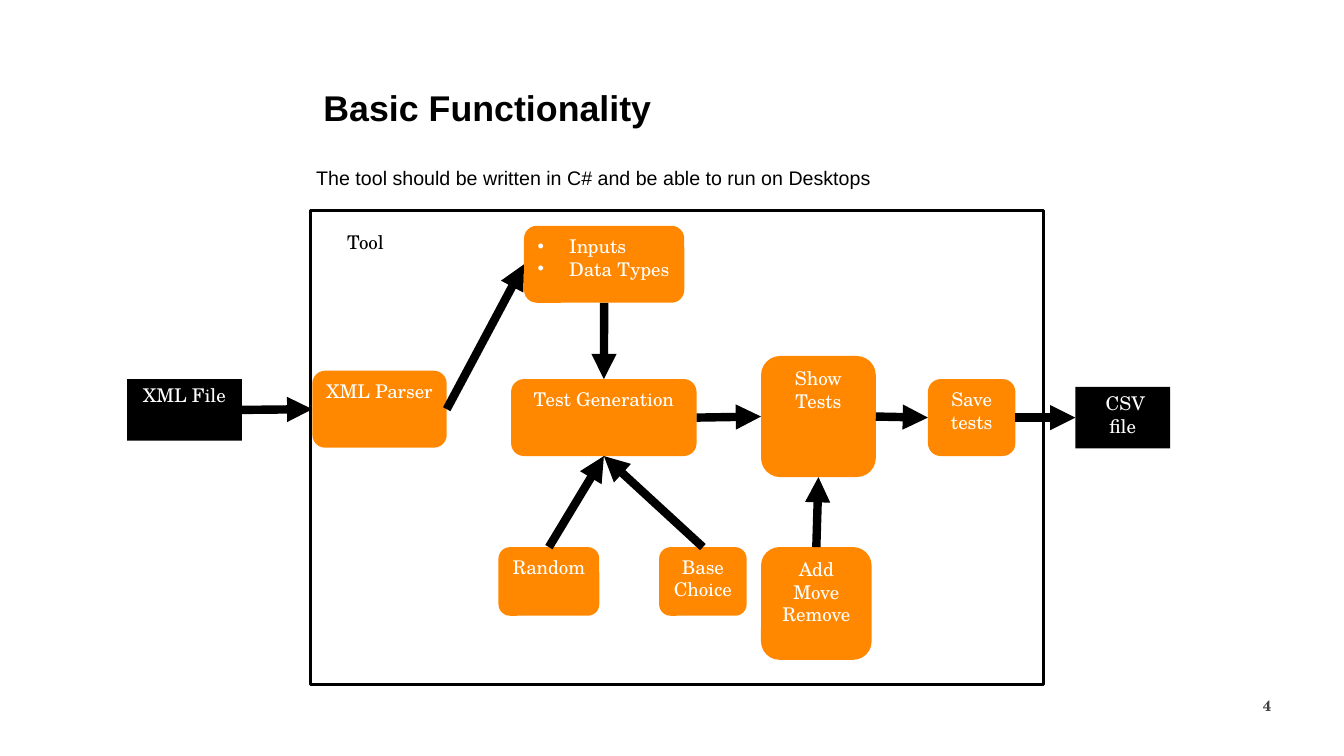
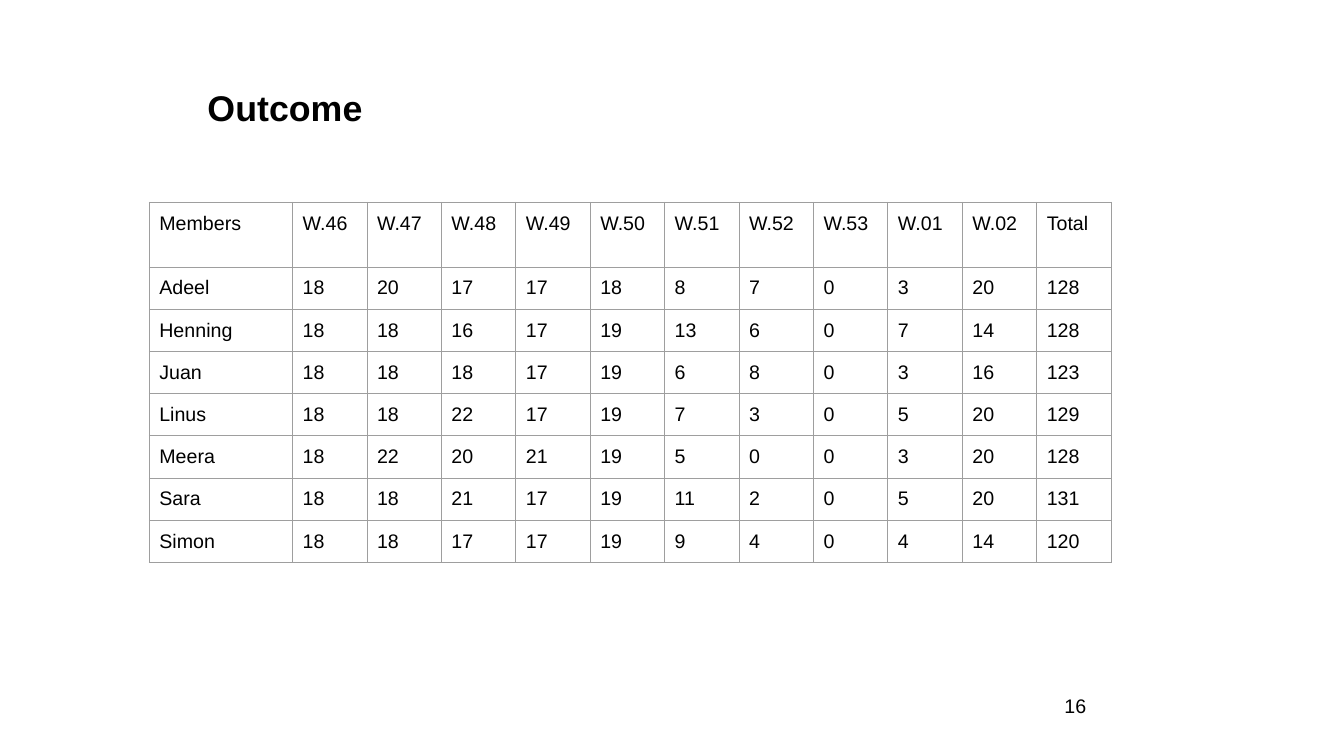
from lxml.etree import SubElement
from pptx import Presentation
from pptx.dml.color import RGBColor
from pptx.enum.shapes import MSO_CONNECTOR, MSO_SHAPE
from pptx.enum.text import MSO_ANCHOR, MSO_AUTO_SIZE, PP_ALIGN
from pptx.oxml.ns import qn
from pptx.util import Pt

SANS, SERIF = "Arial", "TeX Gyre Schola"
BLACK, WHITE, ORANGE, GREY, BORDER = "000000", "FFFFFF", "FF8800", "404040", "9E9E9E"
PAGE_SIZE = (960, 540)
NUMBER_BOX = (755.3, 494, 157.7, 20)
TOP, LEFT, BOTTOM, RIGHT = range(4)
NARROW, WIDE, NORMAL = (5, 3), (7.2, 7.2), (7.2, 3.6)

NODES = {
    "XML File": (-131, 120.5, 82, 44),
    "XML Parser": (1.3, 114.5, 96, 55),
    "Inputs\nData Types": (152.5, 11, 114.5, 55),
    "Test Generation": (143.3, 120.5, 132.5, 55),
    "Random": (134.3, 240.5, 72, 49),
    "Base Choice": (249, 240.5, 62.5, 49),
    "Show Tests": (321.8, 104, 82, 86.5),
    "Add\nMove\nRemove": (321.8, 240.5, 79, 80.5),
    "Save tests": (441, 120.5, 62.5, 55),
    " CSV file": (546.3, 126, 67.7, 44),
}
FILES = ("XML File", " CSV file")
LISTED = ("Inputs\nData Types",)
ARROWS = [
    ("XML File", RIGHT, "XML Parser", LEFT),
    ("XML Parser", RIGHT, "Inputs\nData Types", LEFT),
    ("Inputs\nData Types", BOTTOM, "Test Generation", TOP),
    ("Random", TOP, "Test Generation", BOTTOM),
    ("Base Choice", TOP, "Test Generation", BOTTOM),
    ("Test Generation", RIGHT, "Show Tests", LEFT),
    ("Add\nMove\nRemove", TOP, "Show Tests", BOTTOM),
    ("Show Tests", RIGHT, "Save tests", LEFT),
    ("Save tests", RIGHT, " CSV file", LEFT),
]

HOURS = [
    ["Members", "W.46", "W.47", "W.48", "W.49", "W.50", "W.51", "W.52", "W.53", "W.01", "W.02", "Total"],
    ["Adeel", 18, 20, 17, 17, 18, 8, 7, 0, 3, 20, 128],
    ["Henning", 18, 18, 16, 17, 19, 13, 6, 0, 7, 14, 128],
    ["Juan", 18, 18, 18, 17, 19, 6, 8, 0, 3, 16, 123],
    ["Linus", 18, 18, 22, 17, 19, 7, 3, 0, 5, 20, 129],
    ["Meera", 18, 22, 20, 21, 19, 5, 0, 0, 3, 20, 128],
    ["Sara", 18, 18, 21, 17, 19, 11, 2, 0, 5, 20, 131],
    ["Simon", 18, 18, 17, 17, 19, 9, 4, 0, 4, 14, 120],
]


def color(value):
    """Turn a hex string into a colour."""
    return RGBColor.from_string(value)


def points(box):
    """Turn a box of numbers into lengths in points."""
    return [Pt(length) for length in box]


def add_bullet(para, ink):
    """Give a paragraph a hanging round bullet."""
    properties = para._p.get_or_add_pPr()
    properties.set("marL", str(Pt(22.5)))
    properties.set("indent", str(-Pt(22.5)))
    SubElement(SubElement(properties, qn("a:buClr")), qn("a:srgbClr"), val=ink)
    SubElement(properties, qn("a:buSzPct"), val="96000")
    SubElement(properties, qn("a:buFont"), typeface=SANS)
    SubElement(properties, qn("a:buChar"), char="•")


def write(frame, text, font=SANS, size=14, ink=BLACK, bold=False,
          align=PP_ALIGN.LEFT, spacing=None, bullets=False):
    """Write one formatted paragraph for each line of text."""
    for index, line in enumerate(text.split("\n")):
        para = frame.add_paragraph() if index else frame.paragraphs[0]
        para.alignment = align
        if spacing:
            para.line_spacing = spacing
        if bullets:
            add_bullet(para, ink)
        span = para.add_run()
        span.text = line
        span.font.name, span.font.size, span.font.bold = font, Pt(size), bold
        span.font.color.rgb = color(ink)


def set_frame(frame, insets, anchor=MSO_ANCHOR.TOP):
    """Set the wrapping, insets and anchor of a text frame."""
    frame.word_wrap = True
    frame.auto_size = MSO_AUTO_SIZE.NONE
    frame.margin_left = frame.margin_right = Pt(insets[0])
    frame.margin_top = frame.margin_bottom = Pt(insets[1])
    frame.vertical_anchor = anchor


def add_text(page, box, text, insets=NORMAL, anchor=MSO_ANCHOR.TOP, **style):
    """Add a text box."""
    frame = page.shapes.add_textbox(*points(box)).text_frame
    set_frame(frame, insets, anchor)
    write(frame, text, **style)


def add_page(deck, title, title_box, insets, number, **number_style):
    """Add a slide with its title and page number."""
    page = deck.slides.add_slide(deck.slide_layouts[5])
    heading = page.shapes.title
    heading.left, heading.top, heading.width, heading.height = points(title_box)
    set_frame(heading.text_frame, insets, MSO_ANCHOR.MIDDLE)
    write(heading.text_frame, title, size=25.5, bold=True, spacing=0.9)
    add_text(page, NUMBER_BOX, number, NARROW, MSO_ANCHOR.MIDDLE, **number_style)
    return page


def add_node(page, box, label):
    """Add a black file box or an orange step box with its label."""
    is_file, is_list = label in FILES, label in LISTED
    kind = MSO_SHAPE.RECTANGLE if is_file else MSO_SHAPE.ROUNDED_RECTANGLE
    node = page.shapes.add_shape(kind, *points(box))
    node.shadow.inherit = False
    node.fill.solid()
    node.fill.fore_color.rgb = color(BLACK if is_file else ORANGE)
    node.line.fill.background()
    set_frame(node.text_frame, NORMAL)
    write(node.text_frame, label, font=SERIF, size=13.5, ink=WHITE, bullets=is_list,
          align=PP_ALIGN.LEFT if is_list else PP_ALIGN.CENTER)
    return node


def add_arrow(page, start, start_site, end, end_site):
    """Join two nodes with a thick arrow."""
    arrow = page.shapes.add_connector(MSO_CONNECTOR.STRAIGHT, 0, 0, 0, 0)
    arrow.begin_connect(start, start_site)
    arrow.end_connect(end, end_site)
    arrow.line.width = Pt(6)
    arrow.line.color.rgb = color(BLACK)
    SubElement(arrow.line._get_or_add_ln(), qn("a:tailEnd"), type="triangle")
    SubElement(arrow._element.spPr, qn("a:effectLst"))


def add_diagram(page, box):
    """Draw the tool frame and the flow through it."""
    left, top = box[:2]
    tool = page.shapes.add_shape(MSO_SHAPE.RECTANGLE, *points(box))
    tool.shadow.inherit = False
    tool.fill.background()
    tool.line.color.rgb = color(BLACK)
    tool.line.width = Pt(2)
    add_text(page, (left + 19, top + 11, 47, 27), "Tool", font=SERIF, size=13.5)
    nodes = {label: add_node(page, (left + x, top + y, width, height), label)
             for label, (x, y, width, height) in NODES.items()}
    for start, start_site, end, end_site in ARROWS:
        add_arrow(page, nodes[start], start_site, nodes[end], end_site)


def fill_cell(cell, text):
    """Write a cell and give it thin grey borders and no fill."""
    cell.margin_left = cell.margin_right = cell.margin_top = cell.margin_bottom = Pt(7.2)
    write(cell.text_frame, text)
    properties = cell._tc.get_or_add_tcPr()
    for side in ("lnL", "lnR", "lnT", "lnB"):
        line = SubElement(properties, qn(f"a:{side}"), w=str(Pt(0.75)))
        SubElement(SubElement(line, qn("a:solidFill")), qn("a:srgbClr"), val=BORDER)
    cell.fill.background()


def add_hours(page, box, first_width=102.4, header_height=46.2):
    """Draw the table of hours for each member and week."""
    table = page.shapes.add_table(len(HOURS), len(HOURS[0]), *points(box)).table
    table.first_row = table.horz_banding = False
    week_width = (box[2] - first_width) / (len(HOURS[0]) - 1)
    row_height = (box[3] - header_height) / (len(HOURS) - 1)
    for index, column in enumerate(table.columns):
        column.width = Pt(week_width if index else first_width)
    for index, row in enumerate(table.rows):
        row.height = Pt(row_height if index else header_height)
        for cell, value in zip(row.cells, HOURS[index]):
            fill_cell(cell, str(value))


def build_functionality(deck):
    """Build the slide on the basic functionality."""
    page = add_page(deck, "Basic Functionality", (226, 52, 463, 52.5), NARROW, "4",
                    font=SERIF, size=10.5, ink=GREY, bold=True, align=PP_ALIGN.RIGHT)
    add_text(page, (218.8, 111.5, 528, 34),
             "The tool should be written in C# and be able to run on Desktops", WIDE)
    add_diagram(page, (221.8, 150.3, 523.5, 338.5))


def build_outcome(deck):
    """Build the slide on the outcome."""
    page = add_page(deck, "Outcome", (141, 52, 618.5, 52.5), WIDE, "16")
    add_hours(page, (106.6, 144.5, 687.3, 257))


def main():
    """Build and save the deck."""
    deck = Presentation()
    deck.slide_width, deck.slide_height = points(PAGE_SIZE)
    build_functionality(deck)
    build_outcome(deck)
    deck.save("out.pptx")


if __name__ == "__main__":
    main()
